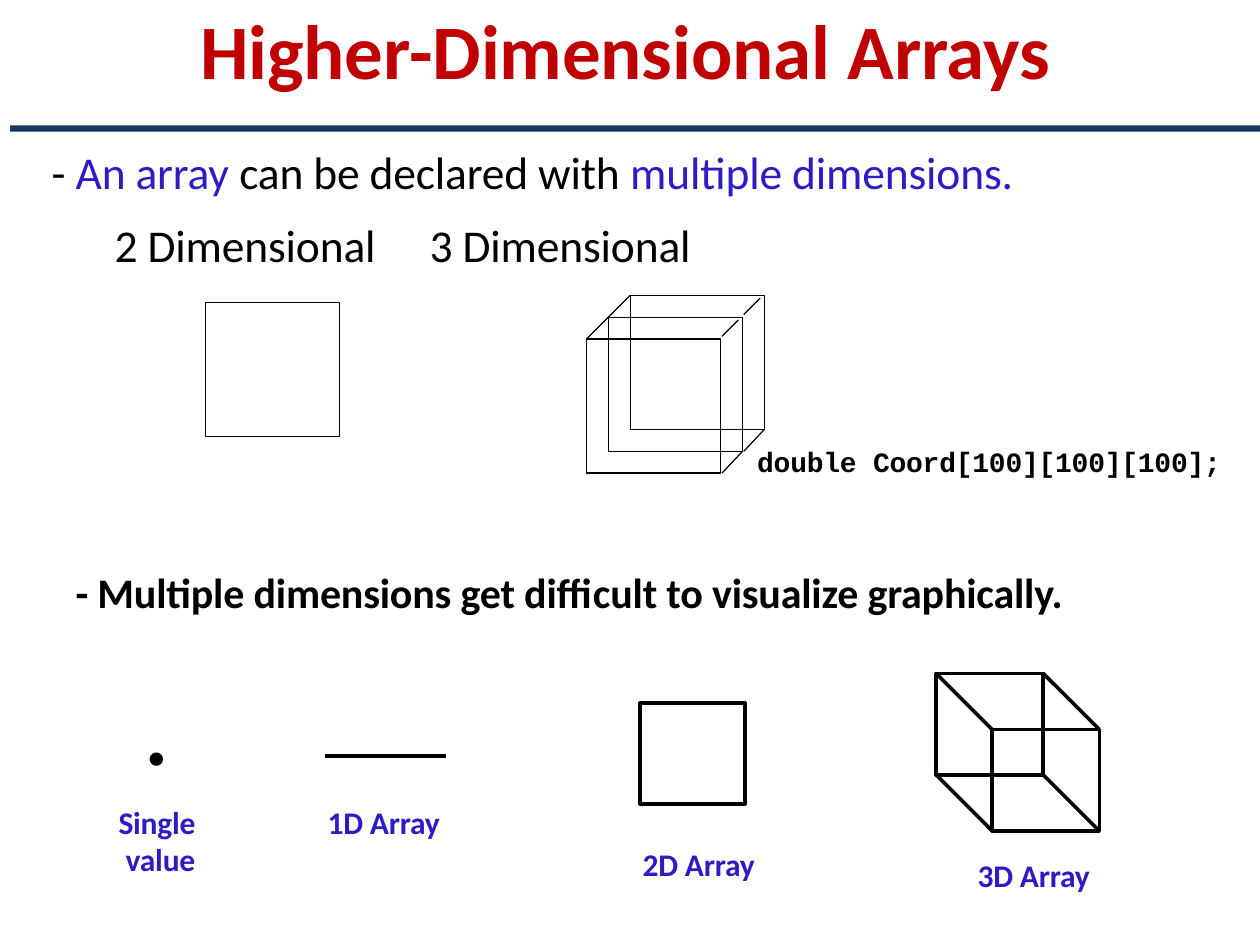
from dataclasses import dataclass
from lxml.etree import SubElement
from pptx import Presentation
from pptx.dml.color import RGBColor
from pptx.enum.shapes import MSO_CONNECTOR as Connector, MSO_SHAPE as Shape
from pptx.enum.text import PP_ALIGN as Align
from pptx.oxml.ns import qn
from pptx.util import Inches, Pt

COLUMNS, ROWS = 100, 75
WIDTH, HEIGHT = Inches(10), Inches(7.5)


@dataclass(frozen=True)
class Theme:
    title: RGBColor = RGBColor(0xC0, 0x00, 0x00)
    accent: RGBColor = RGBColor(0x2E, 0x1B, 0xC6)
    ink: RGBColor = RGBColor(0x00, 0x00, 0x00)
    rule: RGBColor = RGBColor(0x17, 0x37, 0x5E)
    body_font: str = "Calibri"
    code_font: str = "Courier New"
    title_size: int = 44
    lead_size: int = 26
    point_size: int = 24
    label_size: int = 18
    code_size: int = 16
    tracking: str = "-10"
    thin: float = 0.72
    thick: float = 2.04


THEME = Theme()


def across(columns):
    return round(WIDTH * columns / COLUMNS)


def down(rows):
    return round(HEIGHT * rows / ROWS)


def place(column, row, columns, rows):
    return across(column), down(row), across(columns), down(rows)


def format_run(run, size, color, bold=True, font=THEME.body_font):
    run.font.name = font
    run.font.size = Pt(size)
    run.font.bold = bold
    run.font.color.rgb = color
    run._r.get_or_add_rPr().set("spc", THEME.tracking)


def add_frame(slide, area, top_inset=0.02):
    frame = slide.shapes.add_textbox(*place(*area)).text_frame
    frame.word_wrap = True
    frame.margin_right = frame.margin_bottom = 0
    frame.margin_left = Inches(0.01)
    frame.margin_top = Inches(top_inset)
    return frame


def add_text(slide, area, text, size, color=THEME.ink,
             font=THEME.body_font, align=Align.LEFT):
    frame = add_frame(slide, area)
    frame.text = text
    paragraph = frame.paragraphs[0]
    paragraph.alignment = align
    format_run(paragraph.runs[0], size, color, font=font)


def add_lead(slide):
    """Opening statement with its accented words, and the tabbed headings below."""
    frame = add_frame(slide, (4, 9.8, 77.3, 12), top_inset=0.16)
    statement = frame.paragraphs[0]
    for text, color in (("- ", THEME.ink),
                        ("An array ", THEME.accent),
                        ("can be declared with ", THEME.ink),
                        ("multiple dimensions.", THEME.accent)):
        run = statement.add_run()
        run.text = text
        format_run(run, THEME.lead_size, color, bold=False)

    headings = frame.add_paragraph()
    headings.text = "2 Dimensional\t3 Dimensional"
    headings.space_before = Pt(10.8)
    properties = headings._p.get_or_add_pPr()
    properties.set("marL", "0")
    properties.set("indent", str(across(5)))
    tabs = SubElement(properties, qn("a:tabLst"))
    SubElement(tabs, qn("a:tab"), pos=str(across(35)), algn="l")
    for run in headings.runs:
        format_run(run, THEME.lead_size, THEME.ink, bold=False)


def style_outline(shape, weight):
    shape.shadow.inherit = False
    shape.fill.background()
    shape.line.color.rgb = THEME.ink
    shape.line.width = Pt(weight)


def add_square(slide, area, weight):
    square = slide.shapes.add_shape(Shape.RECTANGLE, *place(*area))
    style_outline(square, weight)


def add_line(slide, start, end, weight):
    line = slide.shapes.add_connector(Connector.STRAIGHT, across(start[0]),
                                      down(start[1]), across(end[0]), down(end[1]))
    line.line.color.rgb = THEME.ink
    line.line.width = Pt(weight)
    SubElement(line._element.spPr, qn("a:effectLst"))


def add_title_rule(slide):
    rule = slide.shapes.add_shape(Shape.RECTANGLE, *place(0.8, 9.95, 99.2, 0.5))
    rule.shadow.inherit = False
    rule.fill.solid()
    rule.fill.fore_color.rgb = THEME.rule
    rule.line.fill.background()


def add_plane_stack(slide, column, row, side, step, planes):
    """Planes stepping back up and right, with depth lines between neighbours."""
    depth_lines = (((0, 0), (step, -step)),
                   ((side + 0.1, -0.2), (side + 1.4, -1.5)),
                   ((side + 0.1, side), (side + step, side - step)))
    for index in reversed(range(planes)):
        left, top = column + index * step, row - index * step
        add_square(slide, (left, top, side, side), THEME.thin)
        if index < planes - 1:
            for start, end in depth_lines:
                add_line(slide, (left + start[0], top + start[1]),
                         (left + end[0], top + end[1]), THEME.thin)


def add_wire_cube(slide, column, row, width, height, depth):
    """One outline: back face, front face and the four edges joining them."""
    back = [(across(column + x), down(row + y))
            for x, y in ((0, 0), (width, 0), (width, height), (0, height))]
    front = [(x + across(depth), y + down(depth)) for x, y in back]
    builder = slide.shapes.build_freeform(*back[0])
    builder.add_line_segments(back[1:], close=True)
    builder.move_to(*front[0])
    builder.add_line_segments(front[1:], close=True)
    for near, far in zip(front, back):
        builder.move_to(*far)
        builder.add_line_segments([near], close=False)
    style_outline(builder.convert_to_shape(), THEME.thick)


def main():
    presentation = Presentation()
    presentation.slide_width, presentation.slide_height = WIDTH, HEIGHT
    slide = presentation.slides.add_slide(presentation.slide_layouts[6])

    add_text(slide, (15.8, 0, 68.1, 7.6), "Higher-Dimensional Arrays",
             THEME.title_size, THEME.title)
    add_title_rule(slide)
    add_lead(slide)
    add_square(slide, (16.3, 24, 10.65, 10.65), THEME.thin)
    add_plane_stack(slide, 46.55, 26.9, side=10.65, step=1.73, planes=3)
    add_text(slide, (60, 35.1, 37.7, 2.9), "double Coord[100][100][100];",
             THEME.code_size, font=THEME.code_font)

    add_text(slide, (5.9, 44.8, 79.6, 4.3),
             "- Multiple dimensions get difficult to visualize graphically.",
             THEME.point_size)
    add_text(slide, (11.7, 58.3, 1.5, 3.3), "•", THEME.label_size)
    add_line(slide, (25.8, 60), (35.4, 60), THEME.thick)
    add_square(slide, (50.8, 55.8, 8.35, 8), THEME.thick)
    add_wire_cube(slide, 74.3, 53.45, width=8.5, height=8.05, depth=4.45)

    add_text(slide, (9, 63.5, 6.5, 6.3), "Single value", THEME.label_size,
             THEME.accent, align=Align.RIGHT)
    for column, row, text in ((25.9, 63.5, "1D Array"),
                              (50.9, 66.9, "2D Array"),
                              (77.5, 67.7, "3D Array")):
        add_text(slide, (column, row, 9.3, 3.3), text, THEME.label_size,
                 THEME.accent)

    presentation.save("out.pptx")


if __name__ == "__main__":
    main()
